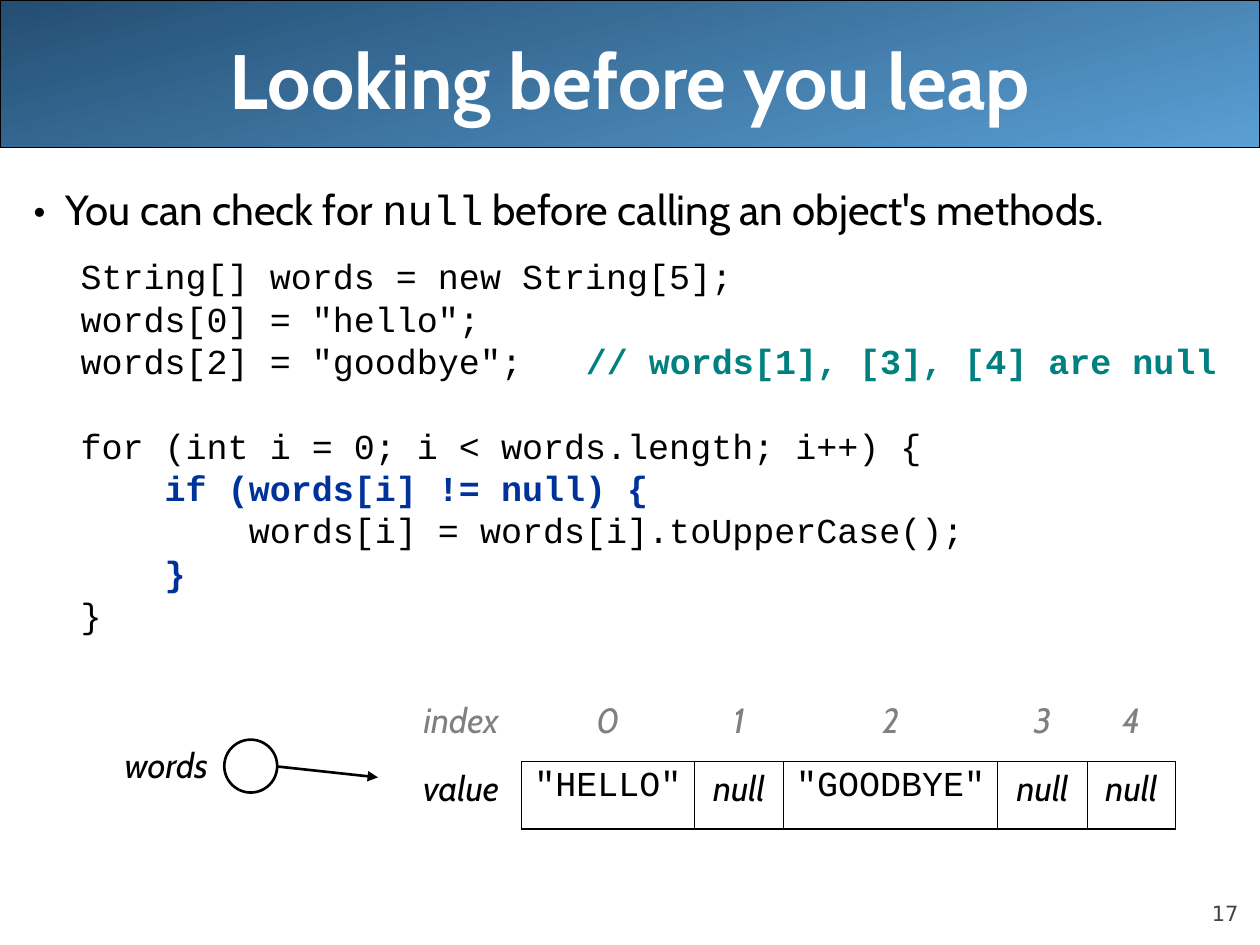
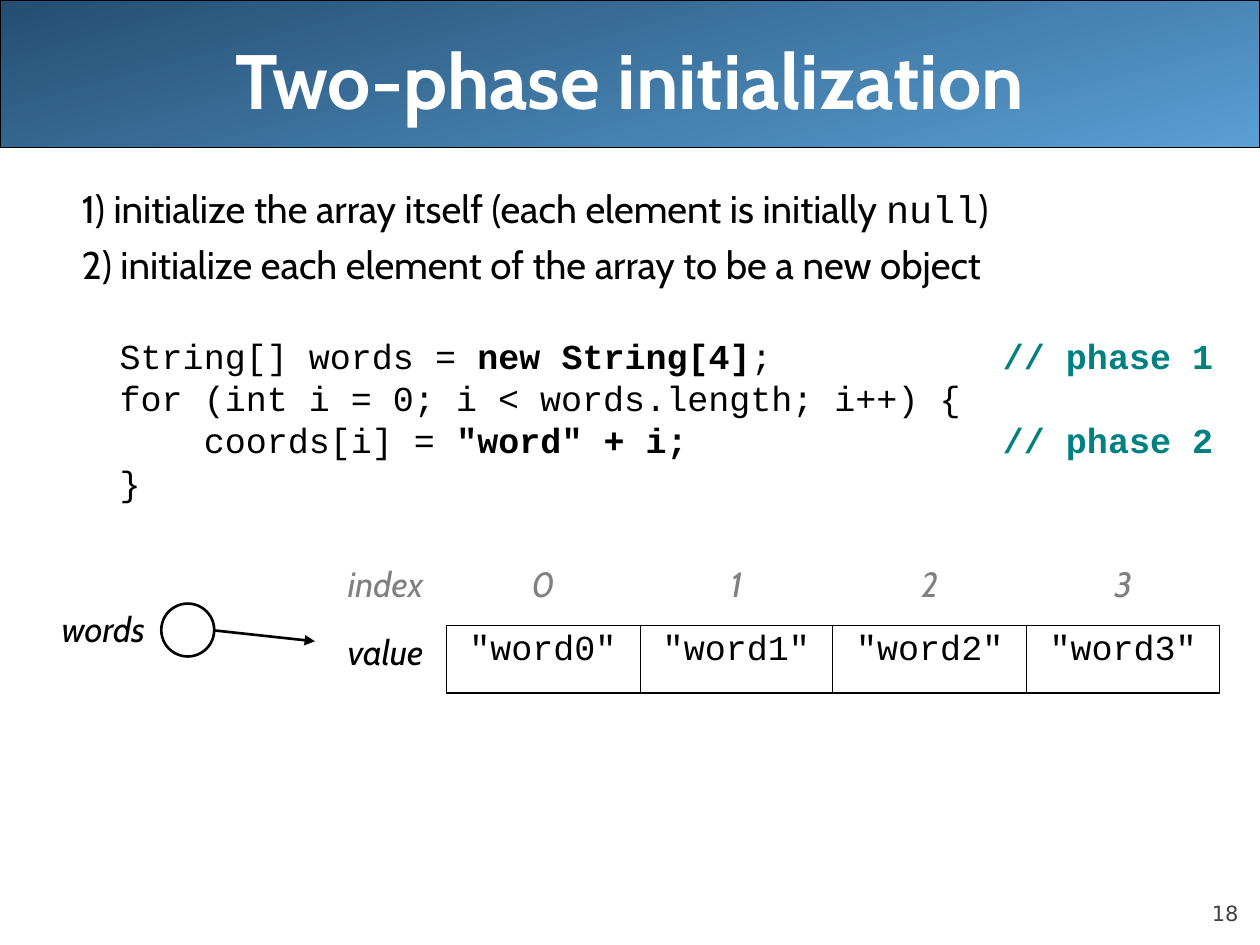
from lxml import etree
from pptx import Presentation
from pptx.dml.color import RGBColor
from pptx.enum.shapes import MSO_CONNECTOR, MSO_SHAPE
from pptx.enum.text import MSO_ANCHOR, PP_ALIGN
from pptx.oxml.ns import qn
from pptx.util import Inches, Pt

RECTANGLE, OVAL = MSO_SHAPE.RECTANGLE, MSO_SHAPE.OVAL
STRAIGHT = MSO_CONNECTOR.STRAIGHT
TOP, MIDDLE, BOTTOM = MSO_ANCHOR.TOP, MSO_ANCHOR.MIDDLE, MSO_ANCHOR.BOTTOM
LEFT, CENTER, RIGHT = PP_ALIGN.LEFT, PP_ALIGN.CENTER, PP_ALIGN.RIGHT

BLACK = RGBColor(0x00, 0x00, 0x00)
WHITE = RGBColor(0xFF, 0xFF, 0xFF)
BAND_LIGHT = RGBColor(0x5A, 0x9F, 0xD4)
BAND_DARK = RGBColor(0x24, 0x4E, 0x72)
NUMBER_GRAY = RGBColor(0x42, 0x42, 0x42)
INDEX_GRAY = RGBColor(0x80, 0x80, 0x80)
COMMENT_TEAL = RGBColor(0x00, 0x80, 0x80)
KEY_BLUE = RGBColor(0x00, 0x33, 0x99)

SANS, MONO = "Cabin", "Courier New"
NO_TABLE_STYLE = "{2D5ABB26-0587-4C30-8999-92F81FD0307C}"
CODE_PITCH, CODE_GAP = 19.2, 5
THIN, THICK = 0.45, 1.08

# Format values for each kind of text
TITLE = {"name": SANS, "size": Pt(44), "bold": True, "color": WHITE}
NUMBER = {"name": "DejaVu Sans", "size": Pt(12), "color": NUMBER_GRAY}
BODY = {"name": SANS, "size": Pt(24), "color": BLACK}
STEP = {**BODY, "size": Pt(22)}
CODE = {"name": MONO, "size": Pt(20), "color": BLACK}
STRONG = {**CODE, "bold": True}
KEY = {**STRONG, "color": KEY_BLUE}
COMMENT = {**STRONG, "color": COMMENT_TEAL}
LABEL = {"name": SANS, "size": Pt(20), "italic": True, "color": BLACK}
INDEX = {**LABEL, "color": INDEX_GRAY}


def add_run(paragraph, text, style):
    run = paragraph.add_run()
    run.text = text
    for key, value in style.items():
        if key == "color":
            run.font.color.rgb = value
        else:
            setattr(run.font, key, value)


def add_text_box(slide, box, margins=(0, 0), anchor=TOP):
    frame = slide.shapes.add_textbox(*map(Inches, box)).text_frame
    frame.word_wrap = True
    frame.vertical_anchor = anchor
    frame.margin_left = frame.margin_right = Inches(margins[0])
    frame.margin_top = frame.margin_bottom = Inches(margins[1])
    return frame


def add_paragraphs(frame, lines):
    """Fill the frame with one paragraph per line; a line is a list of runs."""
    for number, runs in enumerate(lines):
        paragraph = frame.add_paragraph() if number else frame.paragraphs[0]
        for text, style in runs:
            add_run(paragraph, text, style)
        yield paragraph


def add_frame_parts(slide, title, number):
    """Title band, title and page number."""
    band = slide.shapes.add_shape(RECTANGLE, 0, 0, Inches(10), Inches(1.17))
    band.shadow.inherit = False
    band.fill.gradient()
    band.fill.gradient_angle = 105
    for stop, color in zip(band.fill.gradient_stops, (BAND_LIGHT, BAND_DARK)):
        stop.color.rgb = color
    band.line.color.rgb = BLACK
    band.line.width = Pt(0.75)
    slide.shapes._spTree.insert(2, band._element)

    shape = slide.shapes.title
    shape.left, shape.top, shape.width, shape.height = map(Inches, (0.5, 0, 9, 1.25))
    shape.text_frame.vertical_anchor = MIDDLE
    paragraph = shape.text_frame.paragraphs[0]
    paragraph.alignment = CENTER
    add_run(paragraph, title, TITLE)

    frame = add_text_box(slide, (9, 6.95, 0.83, 0.4), anchor=BOTTOM)
    frame.paragraphs[0].alignment = RIGHT
    add_run(frame.paragraphs[0], str(number), NUMBER)


def add_points(slide, box, lines, space=0, bullet=None):
    frame = add_text_box(slide, box, (0.1, 0.05))
    for number, paragraph in enumerate(add_paragraphs(frame, lines)):
        paragraph.alignment = LEFT
        if bullet:
            properties = paragraph._p.get_or_add_pPr()
            properties.set("marL", str(Inches(0.25)))
            properties.set("indent", str(-Inches(0.25)))
            etree.SubElement(properties, qn("a:buFont"), typeface=SANS)
            etree.SubElement(properties, qn("a:buChar"), char=bullet)
        if number:
            paragraph.space_before = Pt(space)


def add_code(slide, box, lines, comment_at, block_starts=()):
    """Code lines; comments line up at a tab, and blocks start after a gap."""
    frame = add_text_box(slide, box)
    for number, paragraph in enumerate(add_paragraphs(frame, lines)):
        tabs = etree.SubElement(paragraph._p.get_or_add_pPr(), qn("a:tabLst"))
        etree.SubElement(tabs, qn("a:tab"), pos=str(Inches(comment_at)), algn="l")
        paragraph.line_spacing = Pt(CODE_PITCH)
        if number in block_starts:
            paragraph.space_before = Pt(CODE_PITCH + 2 * CODE_GAP)
        elif number:
            paragraph.space_before = Pt(CODE_GAP)


def set_borders(cell, **widths):
    """Black cell borders, given in the order lnL, lnR, lnT, lnB."""
    properties = cell._tc.get_or_add_tcPr()
    for position, (side, width) in enumerate(widths.items()):
        line = etree.Element(qn("a:" + side), w=str(Pt(width)))
        fill = etree.SubElement(line, qn("a:solidFill"))
        etree.SubElement(fill, qn("a:srgbClr"), val=str(BLACK))
        properties.insert(position, line)


def add_array_table(slide, left, top, widths, values):
    """Index row above a row of boxed values."""
    row_height = Inches(0.54)
    frame = slide.shapes.add_table(2, len(widths), Inches(left), Inches(top),
                                   Inches(sum(widths)), 2 * row_height)
    table = frame.table
    table.first_row = table.horz_banding = False
    table._tbl.tblPr.find(qn("a:tableStyleId")).text = NO_TABLE_STYLE
    for row in table.rows:
        row.height = row_height
    for column, width in zip(table.columns, widths):
        column.width = Inches(width)

    indexes = ["index", *map(str, range(len(values)))]
    for column, pair in enumerate(zip(indexes, ["value", *values])):
        for row, text in enumerate(pair):
            cell = table.cell(row, column)
            cell.fill.background()
            cell.margin_left = cell.margin_right = Inches(0.05)
            paragraph = cell.text_frame.paragraphs[0]
            paragraph.alignment = CENTER
            value_style = CODE if text.startswith('"') else LABEL
            add_run(paragraph, text, value_style if row else INDEX)
        if column:
            right = THICK if column == len(values) else THIN
            set_borders(table.cell(0, column), lnB=THIN)
            set_borders(table.cell(1, column), lnL=THIN, lnR=right, lnT=THIN, lnB=THICK)
    set_borders(table.cell(1, 0), lnR=THIN)


def add_reference(slide, left, top):
    """Variable name, its circle and the arrow to the array."""
    frame = add_text_box(slide, (left, top, 1.25, 0.49), (0.1, 0.05))
    frame.paragraphs[0].alignment = RIGHT
    add_run(frame.paragraphs[0], "words", LABEL)

    arrow = slide.shapes.add_connector(
        STRAIGHT, Inches(left + 1.67), Inches(top + 0.23),
        Inches(left + 2.5), Inches(top + 0.32))
    circle = slide.shapes.add_shape(
        OVAL, Inches(left + 1.28), Inches(top + 0.02), Inches(0.42), Inches(0.42))
    circle.shadow.inherit = False
    circle.fill.solid()
    circle.fill.fore_color.rgb = WHITE
    for shape in (arrow, circle):
        shape.line.color.rgb = BLACK
        shape.line.width = Pt(1.5)
    etree.SubElement(arrow.line._get_or_add_ln(), qn("a:tailEnd"), type="triangle")
    etree.SubElement(arrow._element.spPr, qn("a:effectLst"))


def add_array_diagram(slide, left, top, table_offset, widths, values):
    add_array_table(slide, left + table_offset, top, widths, values)
    add_reference(slide, left, top + 0.35)


def build_null_check(slide):
    add_frame_parts(slide, "Looking before you leap", 17)
    add_points(slide, (0.17, 1.41, 9.83, 0.55), [
        [("You can check for ", BODY), ("null", {**BODY, "name": MONO}),
         (" before calling an object's methods.", BODY)],
    ], bullet="•")
    add_code(slide, (0.64, 2.09, 9.36, 3), [
        [("String[] words = new String[5];", CODE)],
        [('words[0] = "hello";', CODE)],
        [('words[2] = "goodbye";\t', CODE), ("// words[1], [3], [4] are null", COMMENT)],
        [("for (int i = 0; i < words.length; i++) {", CODE)],
        [("    if (words[i] != null) {", KEY)],
        [("        words[i] = words[i].toUpperCase();", CODE)],
        [("    }", KEY)],
        [("}", CODE)],
    ], comment_at=4.01, block_starts=(3,))
    add_array_diagram(slide, 0.5, 5.5, 2.68, (0.96, 1.37, 0.71, 1.7, 0.71, 0.7),
                      ('"HELLO"', "null", '"GOODBYE"', "null", "null"))


def build_two_phases(slide):
    add_frame_parts(slide, "Two-phase initialization", 18)
    add_points(slide, (0.55, 1.42, 9.45, 1), [
        [("1) initialize the array itself (each element is initially ", STEP),
         ("null", {**STEP, "name": MONO}), (")", STEP)],
        [("2) initialize each element of the array to be a new object", STEP)],
    ], space=5.5)
    add_code(slide, (0.95, 2.72, 9.05, 1.4), [
        [("String[] words = ", CODE), ("new String[4]", STRONG), (";\t", CODE),
         ("// phase 1", COMMENT)],
        [("for (int i = 0; i < words.length; i++) {", CODE)],
        [("    coords[i] = ", CODE), ('"word" + i;\t', STRONG), ("// phase 2", COMMENT)],
        [("}", CODE)],
    ], comment_at=7.01)
    add_array_diagram(slide, 0, 4.42, 2.58, (0.96, 1.54, 1.53, 1.54, 1.53),
                      [f'"word{number}"' for number in range(4)])


def main():
    presentation = Presentation()
    presentation.slide_width, presentation.slide_height = Inches(10), Inches(7.5)
    title_only = presentation.slide_layouts[5]
    for build in (build_null_check, build_two_phases):
        build(presentation.slides.add_slide(title_only))
    presentation.save("out.pptx")


if __name__ == "__main__":
    main()
